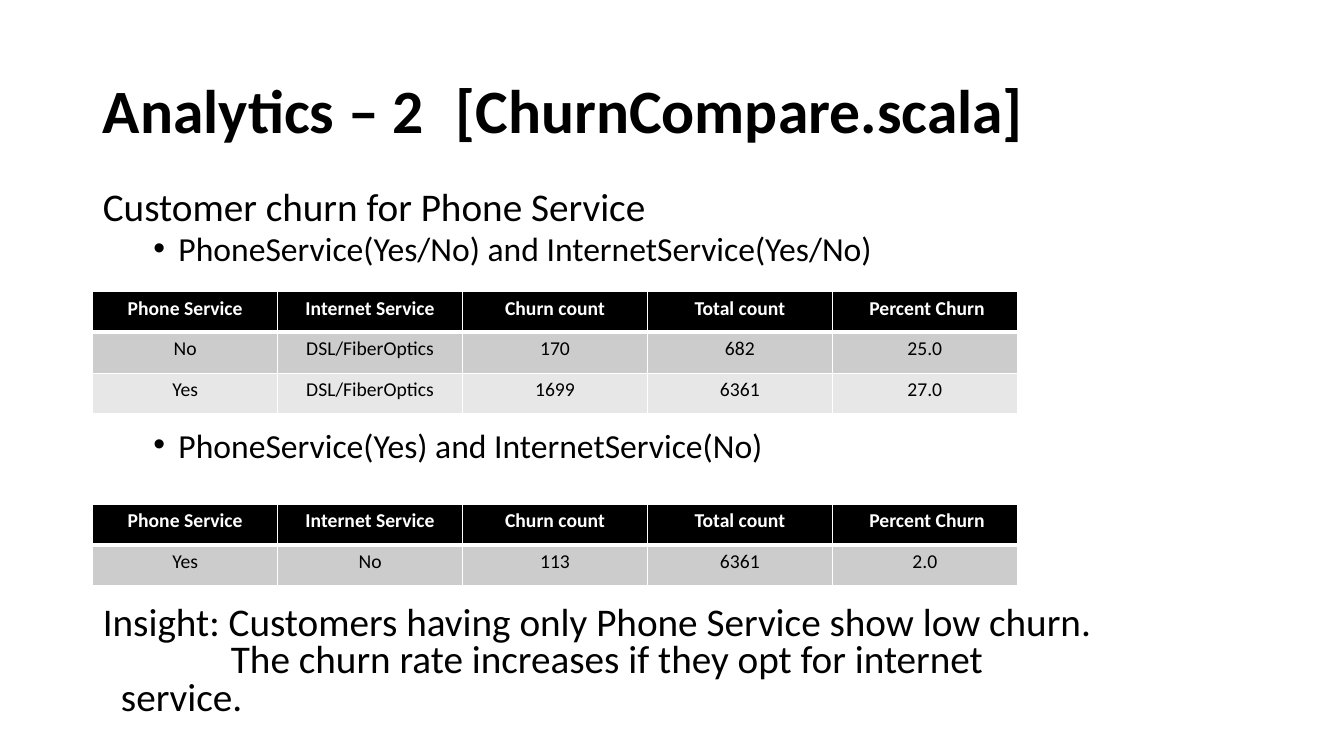
from lxml.etree import SubElement
from pptx import Presentation
from pptx.dml.color import RGBColor
from pptx.enum.text import MSO_ANCHOR as Anchor, MSO_AUTO_SIZE as AutoSize, PP_ALIGN as Align
from pptx.oxml.ns import qn
from pptx.util import Inches, Pt


def add_run(paragraph, text, size, color="000000", bold=False):
    run = paragraph.add_run()
    run.text = text
    run.font.name = "Calibri"
    run.font.size = Pt(size)
    run.font.bold = bold
    run.font.color.rgb = RGBColor.from_string(color)


def add_border(cell, side, width):
    line = SubElement(cell._tc.get_or_add_tcPr(), qn(f"a:ln{side}"), w=str(Pt(width)))
    fill = SubElement(line, qn("a:solidFill"))
    SubElement(fill, qn("a:srgbClr"), val="FFFFFF")


presentation = Presentation()
presentation.slide_width = Inches(13.33)
presentation.slide_height = Inches(7.5)
slide = presentation.slides.add_slide(presentation.slide_layouts[1])

title = slide.shapes.title
title.left, title.top = Inches(0.92), Inches(0.4)
title.width, title.height = Inches(11.5), Inches(1.45)
title.text_frame.auto_size = AutoSize.NONE
title.text_frame.vertical_anchor = Anchor.MIDDLE
heading = title.text_frame.paragraphs[0]
heading.alignment = Align.LEFT
heading.line_spacing = 0.9
add_run(heading, "Analytics – 2\t[ChurnCompare.scala]", 44, bold=True)

body = slide.placeholders[1]
body.left, body.top = Inches(0.92), Inches(1.85)
body.width, body.height = Inches(10.08), Inches(5.45)
body.text_frame.auto_size = AutoSize.NONE
body.text_frame.vertical_anchor = Anchor.TOP

body_lines = [
    ("Customer churn for Phone Service", 0, 28, 10, 0, 0),
    ("PhoneService(Yes/No) and InternetService(Yes/No)", 1, 24, 5, 0.75, -0.25),
    ("PhoneService(Yes) and InternetService(No)", 1, 24, 117, 0.75, -0.25),
    ("Insight: Customers having only Phone Service show low churn.", 0, 28, 101, 0, 0),
    ("The churn rate increases if they opt for internet service.", 0, 28, 0, 0.18, 1.09),
]
for index, (text, level, size, space, margin, indent) in enumerate(body_lines):
    paragraph = body.text_frame.add_paragraph() if index else body.text_frame.paragraphs[0]
    paragraph.level = level
    paragraph.alignment = Align.LEFT
    paragraph.line_spacing = 0.8
    paragraph.space_before = Pt(space)
    properties = paragraph._p.get_or_add_pPr()
    properties.set("marL", str(Inches(margin)))
    properties.set("indent", str(Inches(indent)))
    if level:
        SubElement(properties, qn("a:buFont"), typeface="Arial")
        SubElement(properties, qn("a:buChar"), char="•")
    else:
        SubElement(properties, qn("a:buNone"))
    add_run(paragraph, text, size)

header = ["Phone Service", "Internet Service", "Churn count", "Total count", " Percent Churn"]
churn_tables = [
    (2.89, [
        ["No", "DSL/FiberOptics", "170", "682", "25.0"],
        ["Yes", "DSL/FiberOptics", "1699", "6361", "27.0"],
    ]),
    (5, [["Yes", "No", "113", "6361", "2.0"]]),
]
row_fills = ["000000", "CCCCCC", "E7E7E7"]
row_height = 0.406
for top, records in churn_tables:
    rows = [header] + records
    frame = slide.shapes.add_table(
        len(rows), len(header), Inches(0.92), Inches(top),
        Inches(9.17), Inches(row_height * len(rows)))
    for row_index, values in enumerate(rows):
        is_header = row_index == 0
        for column_index, value in enumerate(values):
            cell = frame.table.cell(row_index, column_index)
            for side in "LRTB":
                add_border(cell, side, 3 if is_header and side == "B" else 1)
            cell.fill.solid()
            cell.fill.fore_color.rgb = RGBColor.from_string(row_fills[row_index])
            paragraph = cell.text_frame.paragraphs[0]
            paragraph.alignment = Align.CENTER
            add_run(paragraph, value, 14, "FFFFFF" if is_header else "000000", is_header)

presentation.save("out.pptx")
